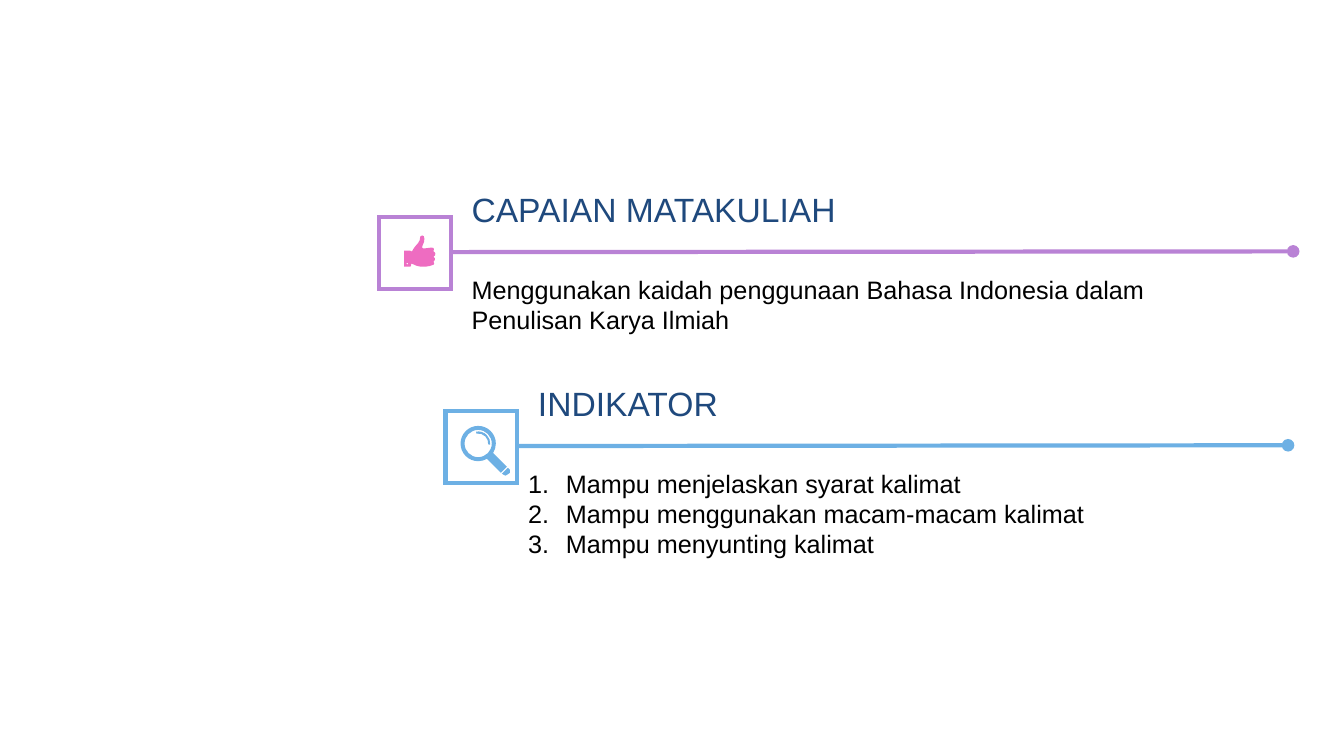
import dataclasses
import math
import typing

import lxml.etree
import pptx
import pptx.dml.color
import pptx.enum.shapes
import pptx.enum.text
import pptx.oxml
import pptx.oxml.ns
import pptx.util

Point = tuple[float, float]
Pieces = list[tuple[float, ...]]

WIDTH, HEIGHT = pptx.util.Inches(13.33), pptx.util.Inches(7.5)
COLUMN, ROW = WIDTH / 100, HEIGHT / 100
BOX_SIDE = 5.33 * COLUMN
ICON_STEP = BOX_SIDE / 71


@dataclasses.dataclass(frozen=True)
class Theme:
    """Colours, font and sizes of the slide."""
    heading: str = "1F497D"
    body: str = "000000"
    paper: str = "FFFFFF"
    purple: str = "B982D5"
    blue: str = "6DB0E4"
    pink: str = "EE6CC1"
    font: str = "Arial"
    heading_size: int = 24
    body_size: int = 18
    stroke: int = 3


THEME = Theme()


class Contour(typing.NamedTuple):
    """A closed outline of lines (two numbers) and Bezier curves (six)."""
    start: Point
    pieces: Pieces


@dataclasses.dataclass(frozen=True)
class Section:
    """A boxed icon with heading, rule and body; places in columns and rows."""
    title: str
    lines: list[str]
    left: float
    top: float
    rule_end: float
    body_left: float
    body_width: float
    body_height: float
    colour: str
    icon: list[Contour]
    icon_colour: str
    numbered: bool = False


def arc(centre: Point, radius: float, *stops: float) -> Contour:
    """Return an arc as one Bezier curve between each pair of angles in degrees."""
    def spot(angle: float, pull: float = 0) -> Point:
        return (centre[0] + radius * (math.cos(angle) - pull * math.sin(angle)),
                centre[1] + radius * (math.sin(angle) + pull * math.cos(angle)))

    angles = [math.radians(stop) for stop in stops]
    pieces: Pieces = []
    for begin, end in zip(angles, angles[1:]):
        pull = 4 / 3 * math.tan((end - begin) / 4)
        pieces.append(spot(begin, pull) + spot(end, -pull) + spot(end))
    return Contour(spot(angles[0]), pieces)


def circle(centre: Point, radius: float) -> Contour:
    """Return a full circle."""
    return arc(centre, radius, 0, 90, 180, 270, 360)


def thumb() -> list[Contour]:
    """Return the thumbs-up outline and its cuff button."""
    hand = Contour((43, 18), [
        (44, 18, 45, 19, 45, 21), (46, 25, 40, 31, 44, 31), (47, 31, 49, 30, 52, 30),
        (55, 30, 55, 32, 54, 34), (56, 34, 57, 38, 54, 39), (57, 41, 55, 44, 54, 44),
        (55, 45, 55, 47, 54, 47), (50, 49, 42, 50, 37, 48), (35, 47, 33, 46, 32, 46),
        (32, 47), (32, 48, 31, 49, 31, 49), (25, 49), (25, 33), (31, 33),
        (31, 33, 32, 33, 32, 34), (33, 34, 33, 33, 35, 30), (37, 27, 41, 25, 41, 19),
        (42, 18, 42, 18, 43, 18)])
    return [circle((28, 46), 1), hand]


def magnifier() -> list[Contour]:
    """Return the tip, glint, lens and handle of a magnifying glass."""
    centre = (32.5, 32)
    tip = Contour((62, 56), [(64, 58), (64, 58, 64, 60, 64, 61), (61, 63),
                             (60, 64, 59, 64, 58, 63), (57, 63, 57, 62, 56, 62)])
    outer, inner = arc(centre, 12, -100, -45, 5), arc(centre, 10, 5, -45, -100)
    glint = Contour(outer.start, outer.pieces + [inner.start] + inner.pieces)
    rim = arc(centre, 17.5, 60, 90, 180, 270, 360, 392)
    handle = Contour(rim.start, rim.pieces + [(61, 55), (55, 61)])
    return [tip, glint, circle(centre, 13.5), handle]


def apply(target: typing.Any, values: dict[str, typing.Any]) -> None:
    """Set attributes from a dict of format values."""
    for name, value in values.items():
        setattr(target, name, value)


def add_tag(parent: typing.Any, tag: str, **values: str) -> typing.Any:
    """Append a drawing element to its parent."""
    return lxml.etree.SubElement(parent, pptx.oxml.ns.qn(tag), **values)


def rgb(colour: str) -> pptx.dml.color.RGBColor:
    """Turn a hex string into a colour."""
    return pptx.dml.color.RGBColor.from_string(colour)


def paint(shape: typing.Any, fill: str) -> None:
    """Give a shape a plain fill and no shadow."""
    shape.shadow.inherit = False
    shape.fill.solid()
    shape.fill.fore_color.rgb = rgb(fill)


def stroke(shape: typing.Any, colour: str) -> typing.Any:
    """Give a shape its line and return the line element."""
    shape.line.color.rgb = rgb(colour)
    shape.line.width = pptx.util.Pt(THEME.stroke)
    return shape.line._get_or_add_ln()


def add_text(page: typing.Any, lines: list[str], place: tuple[float, float, float, float],
             size: int, colour: str, numbered: bool = False) -> None:
    """Add a text box placed in columns and rows."""
    left, top, width, height = place
    box = page.shapes.add_textbox(round(left * COLUMN), round(top * ROW),
                                  round(width * COLUMN), round(height * ROW))
    frame = box.text_frame
    apply(frame, {"word_wrap": True, "text": "\n".join(lines),
                  "auto_size": pptx.enum.text.MSO_AUTO_SIZE.SHAPE_TO_FIT_TEXT})
    for para in frame.paragraphs:
        for span in para.runs:
            apply(span.font, {"name": THEME.font, "size": pptx.util.Pt(size)})
            span.font.color.rgb = rgb(colour)
        if numbered:
            indent = pptx.util.Pt(27)
            properties = para._p.get_or_add_pPr()
            properties.set("marL", str(indent))
            properties.set("indent", str(-indent))
            add_tag(properties, "a:buAutoNum", type="arabicPeriod")


def add_rule(page: typing.Any, section: Section) -> None:
    """Add the rule that ends in a dot."""
    y = section.top + 4.6
    rule = page.shapes.add_connector(
        pptx.enum.shapes.MSO_CONNECTOR.STRAIGHT,
        round((section.left + 5.4) * COLUMN), round(y * ROW),
        round(section.rule_end * COLUMN), round((y - 0.1) * ROW))
    add_tag(stroke(rule, section.colour), "a:tailEnd", type="oval")
    add_tag(rule._element.spPr, "a:effectLst")


def add_icon(page: typing.Any, section: Section) -> None:
    """Draw the icon on the fine grid of its box."""
    def place(values: tuple[float, ...]) -> list[Point]:
        return [(section.left * COLUMN + x * ICON_STEP, section.top * ROW + y * ICON_STEP)
                for x, y in zip(values[::2], values[1::2])]

    builder = page.shapes.build_freeform(*place(section.icon[0].start)[0])
    for number, contour in enumerate(section.icon):
        if number:
            builder.move_to(*place(contour.start)[0])
        builder.add_line_segments([place(piece)[-1] for piece in contour.pieces], close=True)
    shape = builder.convert_to_shape()
    segments = list(shape._element.iter(pptx.oxml.ns.qn("a:lnTo")))
    pieces = [piece for contour in section.icon for piece in contour.pieces]
    for segment, piece in zip(segments, pieces):
        if len(piece) == 6:
            bend = lxml.etree.Element(pptx.oxml.ns.qn("a:cubicBezTo"))
            for x, y in place(piece):
                add_tag(bend, "a:pt", x=str(round(x - shape.left)), y=str(round(y - shape.top)))
            segment.getparent().replace(segment, bend)
    paint(shape, section.icon_colour)
    shape.line.fill.background()


def add_section(page: typing.Any, section: Section) -> None:
    """Draw one complete section."""
    add_text(page, [section.title], (section.left + 6.15, section.top - 4.4, 42.9, 6.73),
             THEME.heading_size, THEME.heading)
    add_rule(page, section)
    box = page.shapes.add_shape(
        pptx.enum.shapes.MSO_SHAPE.RECTANGLE, round(section.left * COLUMN),
        round(section.top * ROW), round(BOX_SIDE), round(BOX_SIDE))
    paint(box, THEME.paper)
    add_tag(stroke(box, section.colour), "a:miter", lim="800000")
    add_text(page, section.lines,
             (section.body_left, section.top + 6.87, section.body_width, section.body_height),
             THEME.body_size, THEME.body, section.numbered)
    add_icon(page, section)


SECTIONS = [
    Section("CAPAIAN MATAKULIAH",
            ["Menggunakan kaidah penggunaan Bahasa Indonesia dalam Penulisan Karya Ilmiah"],
            28.2, 28.75, 96.22, 34.35, 59.8, 9.42, THEME.purple, thumb(), THEME.pink),
    Section("INDIKATOR",
            ["Mampu menjelaskan syarat kalimat", "Mampu menggunakan macam-macam kalimat",
             "Mampu menyunting kalimat"],
            33.14, 54.4, 95.84, 38.55, 57.2, 13.46, THEME.blue, magnifier(), THEME.blue, True),
]

deck = pptx.Presentation()
apply(deck, {"slide_width": WIDTH, "slide_height": HEIGHT})
slide = deck.slides.add_slide(deck.slide_layouts[6])
for item in SECTIONS:
    add_section(slide, item)
deck.save("out.pptx")
